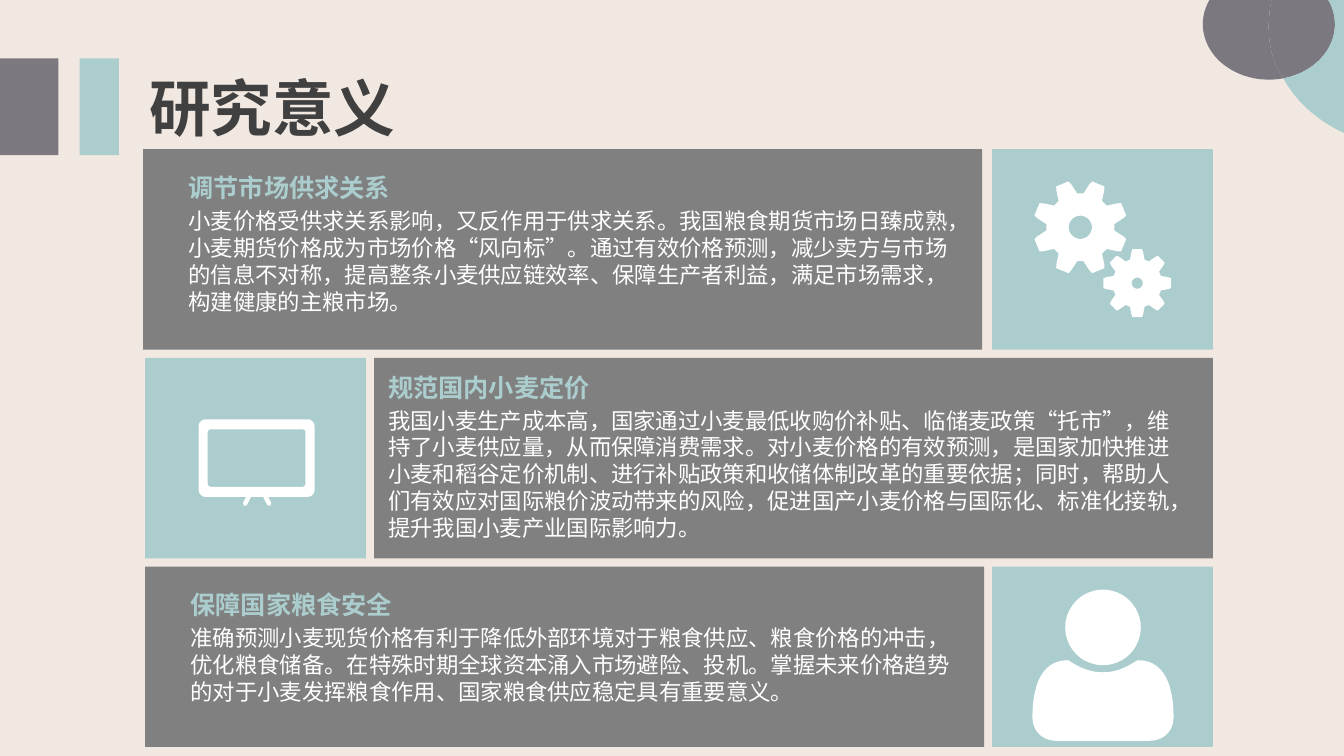
import math

import pptx
import pptx.dml.color
import pptx.enum.shapes
import pptx.enum.text
import pptx.oxml.ns
import pptx.util
from pptx.util import Inches

COLORS = {
    "background": "F1E8E1",
    "teal": "ABCDCD",
    "plum": "7B7880",
    "gray": "808080",
    "title": "404040",
    "white": "FFFFFF",
}
FONT = "Noto Sans CJK SC"
UNITS_PER_INCH = 1000  # freeform points are rounded to whole units


def color(name):
    return pptx.dml.color.RGBColor.from_string(COLORS[name])


def arc(x, y, radius_x, radius_y, start, end, steps=48):
    """Points on an ellipse, with angles in degrees, clockwise from the right."""
    angles = [math.radians(start + (end - start) * i / steps) for i in range(steps + 1)]
    return [(x + radius_x * math.cos(a), y + radius_y * math.sin(a)) for a in angles]


def curve(*controls, steps=16):
    """Points on a cubic Bezier curve."""
    points = []
    for i in range(steps + 1):
        t = i / steps
        weights = ((1 - t) ** 3, 3 * t * (1 - t) ** 2, 3 * t * t * (1 - t), t ** 3)
        points.append(tuple(sum(w * c[axis] for w, c in zip(weights, controls))
                            for axis in (0, 1)))
    return points


def rounded(left, top, width, height, radius):
    right, bottom = left + width - radius, top + height - radius
    corners = ((right, bottom), (left + radius, bottom),
               (left + radius, top + radius), (right, top + radius))
    return [point for i, (x, y) in enumerate(corners)
            for point in arc(x, y, radius, radius, 90 * i, 90 * i + 90, 6)]


def gear(x, y, radius, hole, first_tooth):
    """Eight-toothed wheel with a round hole, as two contours."""
    profile = ((-17, 0.72), (-10.5, 0.93), (-8, 1), (8, 1), (10.5, 0.93), (17, 0.72))
    teeth = []
    for tooth in range(8):
        for offset, share in profile:
            angle = math.radians(first_tooth + 45 * tooth + offset)
            teeth.append((x + radius * share * math.cos(angle),
                          y + radius * share * math.sin(angle)))
    return [teeth, arc(x, y, hole, hole, 360, 0)]


class SlideBuilder:
    def __init__(self, presentation):
        self.slide = presentation.slides.add_slide(presentation.slide_layouts[6])
        fill = self.slide.background.fill
        fill.solid()
        fill.fore_color.rgb = color("background")

    def paint(self, shape, fill):
        shape.shadow.inherit = False
        shape.fill.solid()
        shape.fill.fore_color.rgb = color(fill)
        shape.line.fill.background()

    def rectangle(self, left, top, width, height, fill):
        shape = self.slide.shapes.add_shape(
            pptx.enum.shapes.MSO_SHAPE.RECTANGLE,
            Inches(left), Inches(top), Inches(width), Inches(height))
        self.paint(shape, fill)

    def outline(self, contours, fill):
        first, *others = [[(x * UNITS_PER_INCH, y * UNITS_PER_INCH) for x, y in contour]
                          for contour in contours]
        builder = self.slide.shapes.build_freeform(
            *first[0], scale=Inches(1) / UNITS_PER_INCH)
        builder.add_line_segments(first[1:], close=True)
        for contour in others:
            builder.move_to(*contour[0])
            builder.add_line_segments(contour[1:], close=True)
        self.paint(builder.convert_to_shape(), fill)

    def text(self, left, top, width, height, paragraphs, margins=None):
        box = self.slide.shapes.add_textbox(
            Inches(left), Inches(top), Inches(width), Inches(height))
        frame = box.text_frame
        settings = {"word_wrap": True,
                    "auto_size": pptx.enum.text.MSO_AUTO_SIZE.SHAPE_TO_FIT_TEXT}
        if margins is not None:
            for side in ("left", "right", "top", "bottom"):
                settings[f"margin_{side}"] = Inches(margins)
        for name, value in settings.items():
            setattr(frame, name, value)
        for i, (words, size, fill, bold) in enumerate(paragraphs):
            paragraph = frame.add_paragraph() if i else frame.paragraphs[0]
            if i:
                paragraph.space_before = pptx.util.Pt(3.2)
            run = paragraph.add_run()
            run.text = words
            formats = {"size": pptx.util.Pt(size), "bold": bold, "name": FONT}
            for name, value in formats.items():
                setattr(run.font, name, value)
            run.font.color.rgb = color(fill)
            properties = run.font._element
            latin = properties.find(pptx.oxml.ns.qn("a:latin"))
            latin.addnext(properties.makeelement(
                pptx.oxml.ns.qn("a:ea"), {"typeface": FONT}))

    def topic(self, left, top, width, height, heading, body):
        self.text(left, top, width, height,
                  [(heading, 18, "teal", True), (body, 16, "white", False)], margins=0)


def main():
    presentation = pptx.Presentation()
    presentation.slide_width = Inches(13.33)
    presentation.slide_height = Inches(7.5)
    page = SlideBuilder(presentation)

    # Title and side bars
    page.text(1.38, 0.64, 6.33, 0.84, [("研究意义", 44, "title", True)])
    page.rectangle(0, 0.58, 0.58, 0.96, "plum")
    page.rectangle(0.79, 0.58, 0.39, 0.96, "teal")

    # Overlapping circles in the corner
    seam = curve((12.61, 0), (12.56, 0.27), (12.57, 0.55), (12.73, 0.78))
    right_rim = arc(12.585, 0.24, 0.655, 0.55, -25.9, 77)
    left_rim = arc(12.585, 0.24, 0.655, 0.55, 77, 205.9)
    teal_rim = curve((12.73, 0.78), (12.87, 1.03), (13.08, 1.2), (13.33, 1.32))
    page.outline([right_rim + seam[::-1]], "plum")
    page.outline([seam + left_rim], "plum")
    page.outline([right_rim + teal_rim + [(13.33, 0)]], "teal")

    # Text panels and icon tiles
    for panel_left, tile_left, top, height in (
            (1.42, 9.84, 1.48, 1.99), (3.71, 1.44, 3.55, 1.99), (1.44, 9.84, 5.62, 1.79)):
        page.rectangle(panel_left, top, 8.32, height, "gray")
        page.rectangle(tile_left, top, 2.19, height, "teal")

    # Gears
    page.outline(gear(10.715, 2.255, 0.47, 0.115, 22.5), "white")
    page.outline(gear(11.28, 2.81, 0.34, 0.055, 0), "white")

    # Screen on two legs
    legs = [[(x, 4.93), (x + 0.05 * side, 4.93), (x + 0.01 * side, 5.01),
             (x - 0.02 * side, 5.02), (x - 0.03 * side, 4.99)]
            for x, side in ((2.44, 1), (2.66, -1))]
    page.outline([rounded(1.97, 4.16, 1.15, 0.77, 0.07),
                  rounded(2.06, 4.26, 0.97, 0.57, 0.03)[::-1], *legs], "white")

    # Person
    body = (curve((11.39, 7.35), (11.54, 7.35), (11.64, 7.26), (11.64, 7.11))
            + curve((11.64, 7.11), (11.64, 6.89), (11.59, 6.55), (11.29, 6.55))
            + curve((11.29, 6.55), (11.26, 6.55), (11.14, 6.67), (10.94, 6.67))
            + curve((10.94, 6.67), (10.74, 6.67), (10.61, 6.55), (10.59, 6.55))
            + curve((10.59, 6.55), (10.29, 6.55), (10.24, 6.89), (10.24, 7.11))
            + curve((10.24, 7.11), (10.24, 7.26), (10.34, 7.35), (10.49, 7.35)))
    page.outline([body, arc(10.94, 6.225, 0.375, 0.375, 0, 360)], "white")

    # Topics
    page.topic(1.87, 1.71, 7.7, 1.43, "调节市场供求关系",
               "小麦价格受供求关系影响，又反作用于供求关系。我国粮食期货市场日臻成熟，小麦期货价格成为市场价格“风向标”。通过有效价格预测，减少卖方与市场的信息不对称，提高整条小麦供应链效率、保障生产者利益，满足市场需求，构建健康的主粮市场。")
    page.topic(3.85, 3.69, 7.83, 1.7, "规范国内小麦定价",
               "我国小麦生产成本高，国家通过小麦最低收购价补贴、临储麦政策“托市”，维持了小麦供应量，从而保障消费需求。对小麦价格的有效预测，是国家加快推进小麦和稻谷定价机制、进行补贴政策和收储体制改革的重要依据；同时，帮助人们有效应对国际粮价波动带来的风险，促进国产小麦价格与国际化、标准化接轨，提升我国小麦产业国际影响力。")
    page.topic(1.89, 5.85, 7.7, 1.16, "保障国家粮食安全",
               "准确预测小麦现货价格有利于降低外部环境对于粮食供应、粮食价格的冲击，优化粮食储备。在特殊时期全球资本涌入市场避险、投机。掌握未来价格趋势的对于小麦发挥粮食作用、国家粮食供应稳定具有重要意义。")

    presentation.save("out.pptx")


if __name__ == "__main__":
    main()
